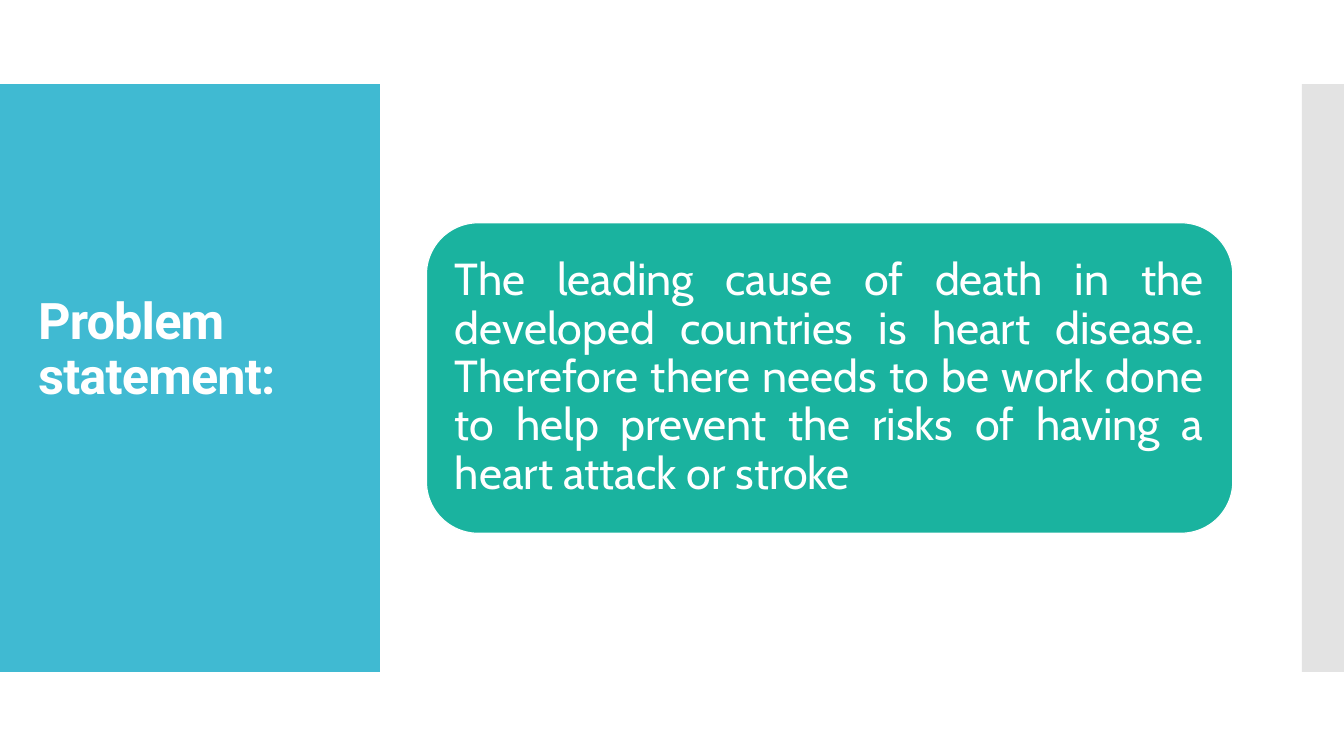
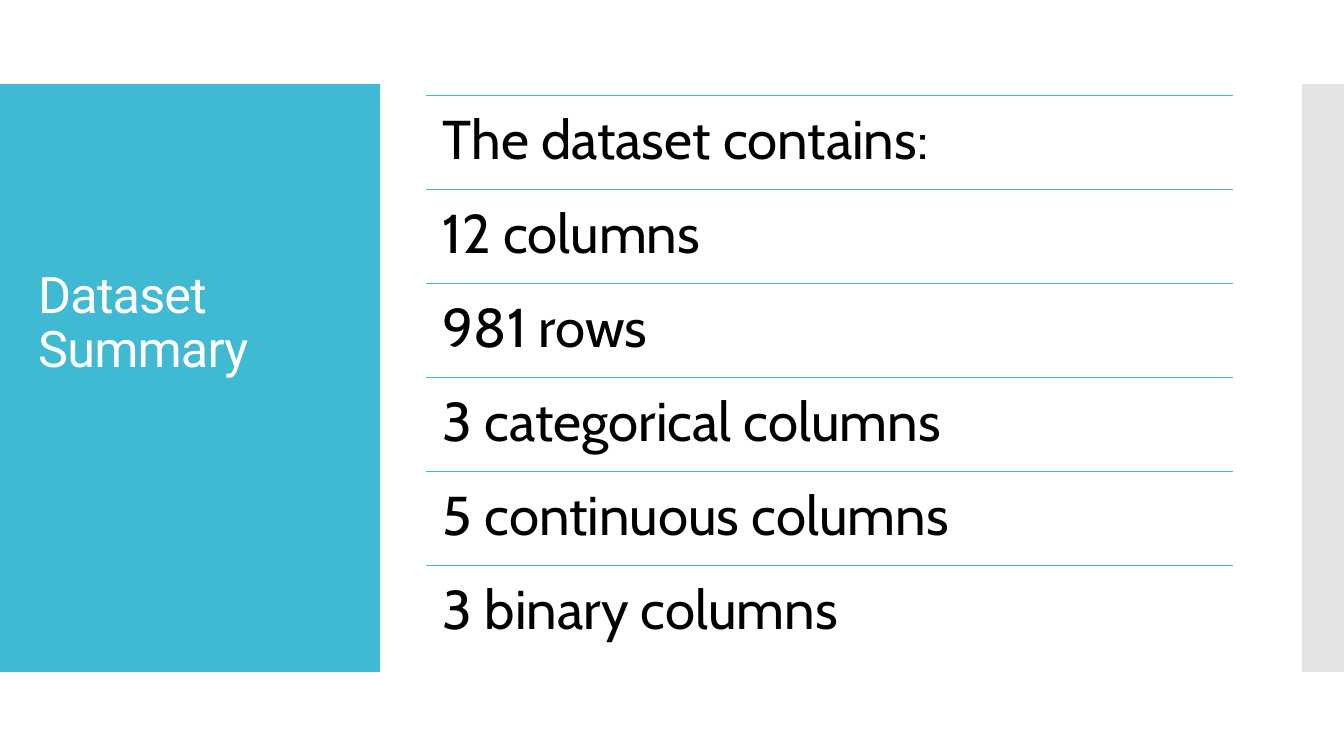
import pptx
import pptx.util
import pptx.dml.color
import pptx.enum.shapes
import pptx.enum.text
import pptx.oxml
import pptx.oxml.ns
from lxml import etree

Pt = pptx.util.Pt
SHAPES = pptx.enum.shapes.MSO_SHAPE
ANCHOR = pptx.enum.text.MSO_ANCHOR
ALIGN = pptx.enum.text.PP_ALIGN
qn = pptx.oxml.ns.qn

PROBLEM_TITLE = "Problem statement:"
PROBLEM = (
    "The leading cause of death in the developed countries is heart disease. "
    "Therefore there needs to be work done to help prevent the risks of having "
    "a heart attack or stroke"
)
SUMMARY_TITLE = "Dataset Summary"
SUMMARY = [
    "The dataset contains:",
    "12 columns",
    "981 rows",
    "3 categorical columns",
    "5 continuous columns",
    "3 binary columns",
]

COLORS = {
    "panel": "40BAD2",
    "edge": "C8C8C8",
    "card": "1AB39F",
    "light": "FFFFFF",
    "dark": "000000",
}
TITLE_FONT, BODY_FONT = "Roboto", "Cabin"
WIDTH, HEIGHT = 960, 540
BAND_TOP, BAND_HEIGHT = 60, 420
PANEL_WIDTH, EDGE_WIDTH = 271.4, 30
TITLE_LEFT, TITLE_TOP, TITLE_WIDTH, TITLE_HEIGHT = 20.2, 88.6, 231.8, 362
TITLE_LINE = 38
BODY_LEFT, BODY_WIDTH = 304.6, 576
CARD_TOP, CARD_HEIGHT = 159.1, 221.8
ROWS_TOP, ROW_HEIGHT = 68.2, 67.14
RULE_WIDTH = 0.85


def rgb(name):
    return pptx.dml.color.RGBColor.from_string(COLORS[name])


def add_block(slide, kind, left, top, width, height, color):
    block = slide.shapes.add_shape(kind, Pt(left), Pt(top), Pt(width), Pt(height))
    block.shadow.inherit = False
    block.fill.solid()
    block.fill.fore_color.rgb = rgb(color)
    block.line.fill.background()
    return block


def add_box(slide, left, top, width, height):
    return slide.shapes.add_textbox(Pt(left), Pt(top), Pt(width), Pt(height))


def write(shape, text, size, font, color, anchor, align=ALIGN.LEFT, inset=None, bold=False):
    frame = shape.text_frame
    frame.word_wrap = True
    frame.vertical_anchor = anchor
    if inset is not None:
        frame.margin_left = frame.margin_right = Pt(inset)
        frame.margin_top = frame.margin_bottom = Pt(inset)
    paragraph = frame.paragraphs[0]
    paragraph.alignment = align
    paragraph.line_spacing = 0.9
    run = paragraph.add_run()
    run.text = text
    run.font.size = Pt(size)
    run.font.name = font
    run.font.bold = bold
    run.font.color.rgb = rgb(color)
    return run


def add_rule(slide, top):
    rule = slide.shapes.add_connector(
        pptx.enum.shapes.MSO_CONNECTOR.STRAIGHT,
        Pt(BODY_LEFT), Pt(top), Pt(BODY_LEFT + BODY_WIDTH), Pt(top),
    )
    rule.line.color.rgb = rgb("panel")
    rule.line.width = Pt(RULE_WIDTH)
    etree.SubElement(rule._element.spPr, qn("a:effectLst"))


def add_base(deck, title, lines_raised, bold=False):
    slide = deck.slides.add_slide(deck.slide_layouts[6])
    add_block(slide, SHAPES.RECTANGLE, 0, BAND_TOP, PANEL_WIDTH, BAND_HEIGHT, "panel")
    edge = add_block(
        slide, SHAPES.RECTANGLE, WIDTH - EDGE_WIDTH, BAND_TOP, EDGE_WIDTH, BAND_HEIGHT, "edge"
    )
    edge_color = edge._element.spPr.find(qn("a:solidFill")).find(qn("a:srgbClr"))
    etree.SubElement(edge_color, qn("a:alpha"), val="50000")
    heading = add_box(
        slide, TITLE_LEFT, TITLE_TOP, TITLE_WIDTH, TITLE_HEIGHT - lines_raised * TITLE_LINE
    )
    run = write(heading, title, 36, TITLE_FONT, "light", ANCHOR.MIDDLE, bold=bold)
    run.font._element.set("spc", "-60")
    return slide


def build_problem(deck):
    slide = add_base(deck, PROBLEM_TITLE, 1, bold=True)
    card = add_block(
        slide, SHAPES.ROUNDED_RECTANGLE, BODY_LEFT, CARD_TOP, BODY_WIDTH, CARD_HEIGHT, "card"
    )
    card.line.color.rgb = rgb("light")
    card.line.width = Pt(RULE_WIDTH)
    write(card, PROBLEM, 32, BODY_FONT, "light", ANCHOR.MIDDLE, ALIGN.JUSTIFY, 9.6)


def build_summary(deck):
    slide = add_base(deck, SUMMARY_TITLE, 2)
    for index, fact in enumerate(SUMMARY):
        top = ROWS_TOP + index * ROW_HEIGHT
        add_rule(slide, top)
        row = add_box(slide, BODY_LEFT, top, BODY_WIDTH, ROW_HEIGHT)
        write(row, fact, 39, BODY_FONT, "dark", ANCHOR.TOP, inset=11.7)


def main():
    deck = pptx.Presentation()
    deck.slide_width, deck.slide_height = Pt(WIDTH), Pt(HEIGHT)
    build_problem(deck)
    build_summary(deck)
    deck.save("out.pptx")


if __name__ == "__main__":
    main()
